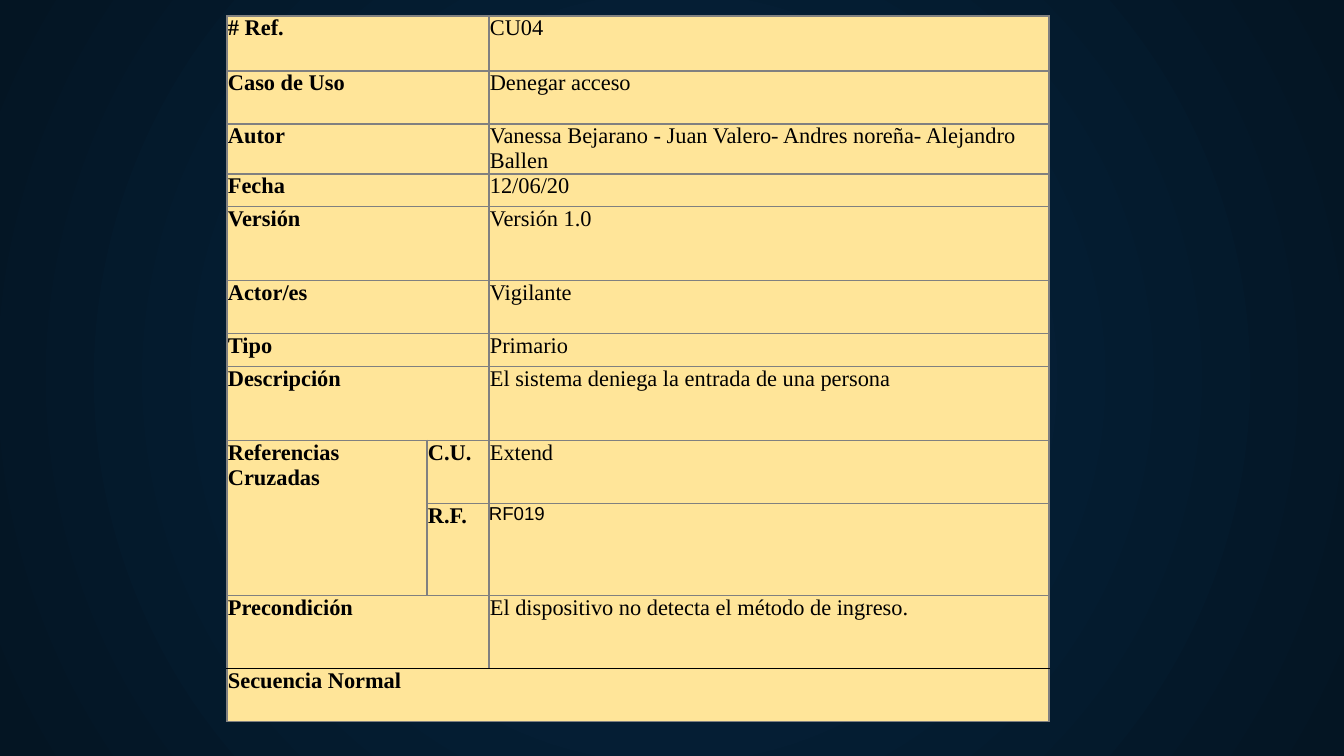
"""Build the use case sheet CU04 as a single-slide presentation."""
from lxml import etree
from pptx import Presentation
from pptx import util as u
from pptx.dml.color import RGBColor
from pptx.enum import text
from pptx.oxml import ns

PX = 914400 / 134.4
SAND = RGBColor(0xFF, 0xE5, 0x99)
GRAY = RGBColor(0x80, 0x80, 0x80)
BLACK = RGBColor(0, 0, 0)
NAVY = RGBColor(0x05, 0x26, 0x43)
NIGHT = RGBColor(0x04, 0x15, 0x23)

COLUMNS = [200, 62, 560]
ROW_HEIGHTS = [55, 53, 43, 33, 74, 53, 33, 74, 63, 92, 73, 53]
FIELDS = {
    0: ("# Ref.", "CU04"),
    1: ("Caso de Uso", "Denegar acceso"),
    2: ("Autor", "Vanessa Bejarano - Juan Valero- Andres noreña- Alejandro Ballen"),
    3: ("Fecha", "12/06/20"),
    4: ("Versión", "Versión 1.0"),
    5: ("Actor/es", "Vigilante"),
    6: ("Tipo", "Primario"),
    7: ("Descripción", "El sistema deniega la entrada de una persona"),
    10: ("Precondición", "El dispositivo no detecta el método de ingreso."),
}
DESCRIPTION, CROSS_USE, CROSS_REQ, PRECONDITION, SEQUENCE = 7, 8, 9, 10, 11


def px(length):
    """Turn whole pixels into EMU."""
    return u.Emu(round(length * PX))


def paint_background(slide):
    """Fill the slide with a gradient that darkens away from the centre."""
    fill = slide.background.fill
    fill.gradient()
    for stop, color in zip(fill.gradient_stops, (NAVY, NIGHT)):
        stop.color.rgb = color
    linear = next(slide.element.iter(ns.qn("a:lin")))
    circle = etree.Element(ns.qn("a:path"), path="circle")
    etree.SubElement(circle, ns.qn("a:fillToRect"),
                     {side: "50000" for side in "ltrb"})
    linear.getparent().replace(linear, circle)


def style_cell(cell, row):
    """Give a cell its fill, margins and four borders."""
    cell.fill.solid()
    cell.fill.fore_color.rgb = SAND
    cell.margin_top = cell.margin_right = cell.margin_bottom = 0
    cell.margin_left = px(1)
    properties = cell._tc.get_or_add_tcPr()
    for place, side in enumerate("LRTB"):
        dark = (row, side) in ((PRECONDITION, "B"), (SEQUENCE, "T"))
        width = u.Pt(0.75 if dark else 1)
        border = etree.Element(ns.qn(f"a:ln{side}"), w=str(width))
        solid = etree.SubElement(border, ns.qn("a:solidFill"))
        etree.SubElement(solid, ns.qn("a:srgbClr"),
                         val=str(BLACK if dark else GRAY))
        properties.insert(place, border)


def write(cell, *lines, bold=False, font="Times New Roman", size=12):
    """Write one paragraph per line in a cell."""
    frame = cell.text_frame
    for number, line in enumerate(lines):
        paragraph = frame.add_paragraph() if number else frame.paragraphs[0]
        run = paragraph.add_run()
        run.text = line
        run.font.name = font
        run.font.size = u.Pt(size)
        run.font.bold = bold
        run.font.color.rgb = BLACK


def add_sheet(slide):
    """Add the empty styled table of the use case."""
    sheet = slide.shapes.add_table(
        len(ROW_HEIGHTS), len(COLUMNS), px(227), px(16),
        px(sum(COLUMNS)), px(sum(ROW_HEIGHTS))).table
    sheet.first_row = sheet.horz_banding = False
    for column, width in zip(sheet.columns, COLUMNS):
        column.width = px(width)
    for number, (row, height) in enumerate(zip(sheet.rows, ROW_HEIGHTS)):
        row.height = px(height)
        for cell in row.cells:
            style_cell(cell, number)
    return sheet


def fill_fields(sheet):
    """Write the rows made of one label and one value."""
    for row, (label, value) in FIELDS.items():
        sheet.cell(row, 0).merge(sheet.cell(row, 1))
        write(sheet.cell(row, 0), label, bold=True)
        write(sheet.cell(row, 2), value)
    description = sheet.cell(DESCRIPTION, 2).text_frame.paragraphs[0]
    description.alignment = text.PP_ALIGN.JUSTIFY


def fill_cross_references(sheet):
    """Write the two rows that share the cross-reference label."""
    references = sheet.cell(CROSS_USE, 0)
    references.merge(sheet.cell(CROSS_REQ, 0))
    write(references, "Referencias", "Cruzadas", bold=True)
    write(sheet.cell(CROSS_USE, 1), "C.U.", bold=True)
    write(sheet.cell(CROSS_USE, 2), "Extend")
    write(sheet.cell(CROSS_REQ, 1), "R.F.", bold=True)
    requirement = sheet.cell(CROSS_REQ, 2)
    requirement.margin_left = 0
    write(requirement, "RF019", font="Arial", size=10)


def main():
    """Build and save the presentation."""
    deck = Presentation()
    deck.slide_width, deck.slide_height = px(1344), px(756)
    slide = deck.slides.add_slide(deck.slide_layouts[6])
    paint_background(slide)
    sheet = add_sheet(slide)
    fill_fields(sheet)
    fill_cross_references(sheet)
    sequence = sheet.cell(SEQUENCE, 0)
    sequence.merge(sheet.cell(SEQUENCE, 2))
    write(sequence, "Secuencia Normal", bold=True)
    deck.save("out.pptx")


if __name__ == "__main__":
    main()
